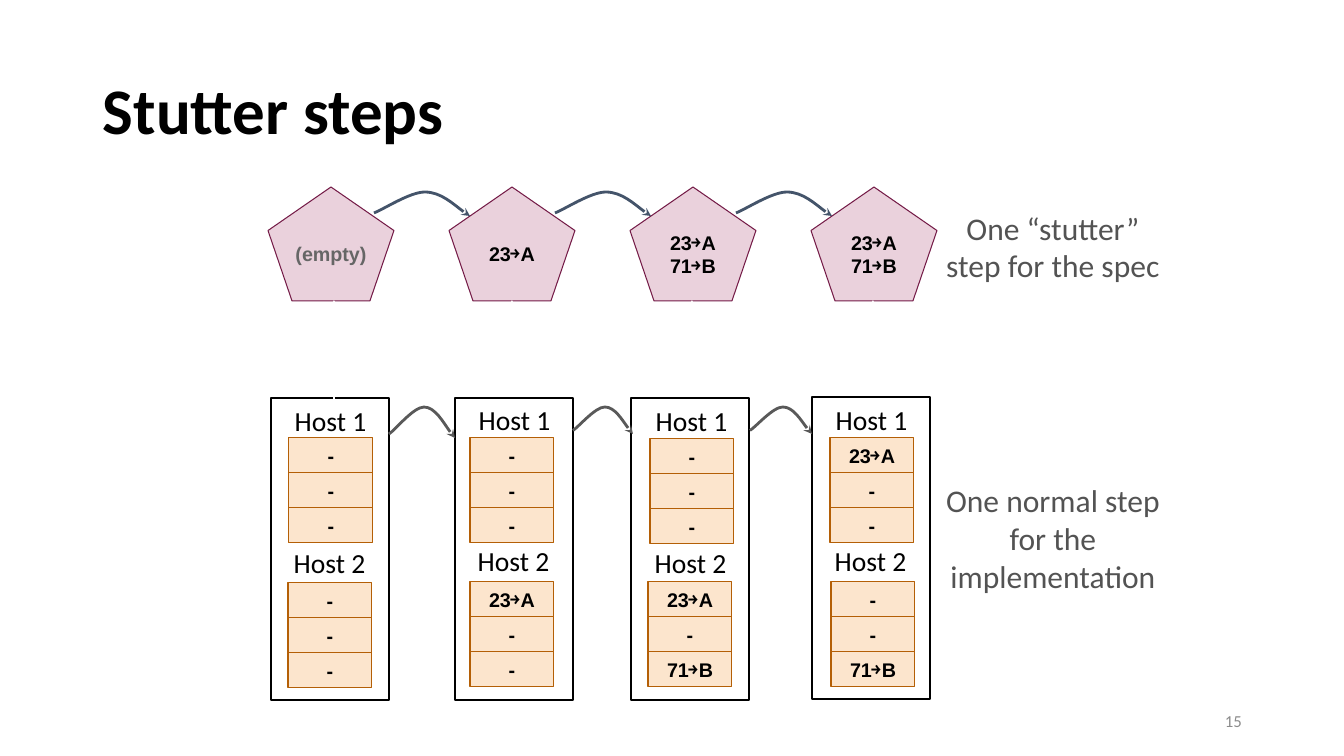
from lxml.etree import SubElement
from pptx import Presentation
from pptx.dml.color import RGBColor
from pptx.enum.dml import MSO_LINE
from pptx.enum.shapes import MSO_CONNECTOR, MSO_SHAPE
from pptx.enum.text import MSO_ANCHOR, MSO_AUTO_SIZE, PP_ALIGN
from pptx.oxml.ns import qn
from pptx.util import Emu, Pt

HUES = {
    "black": "000000", "white": "FFFFFF", "grey": "535353", "mute": "666666",
    "page": "8C8C8C", "pink": "EAD1DC", "plum": "741B47", "cream": "FCE5CD",
    "rust": "B45F06", "slate": "44546A", "dusk": "595959",
}
FONTS = {
    "title": {"name": "Calibri", "size": Pt(46.4), "bold": True},
    "page": {"name": "Calibri", "size": Pt(12)},
    "host": {"name": "Calibri", "size": Pt(19.7)},
    "note": {"name": "Calibri", "size": Pt(22.5)},
    "cell": {"name": "Arial", "size": Pt(14.1), "bold": True},
}
ARC_X = (0, 0.09, 0.37, 0.53, 0.7, 0.92, 1)
ARC_Y = (0.87, 0.75, 0, 0, 0, 0.83, 1)


def px(n):
    return Emu(round(n * 914400 / 100.8))


def hue(name):
    return RGBColor.from_string(HUES[name])


class Pen:
    def __init__(self, slide):
        self.slide = slide
        self.shapes = slide.shapes

    def words(self, shape, text, font, color="black", align=PP_ALIGN.CENTER, pad=(4, 4, 4, 4)):
        frame = shape.text_frame
        left, top, right, low = map(px, pad)
        look = {
            "auto_size": MSO_AUTO_SIZE.NONE, "word_wrap": True,
            "vertical_anchor": MSO_ANCHOR.MIDDLE, "margin_left": left,
            "margin_top": top, "margin_right": right, "margin_bottom": low,
        }
        for key, value in look.items():
            setattr(frame, key, value)
        frame.text = text
        for para in frame.paragraphs:
            para.alignment = align
            for key, value in FONTS[font].items():
                setattr(para.font, key, value)
            para.font.color.rgb = hue(color)

    def title(self, box, text):
        shape = self.shapes.title
        for key, value in zip(("left", "top", "width", "height"), box):
            setattr(shape, key, px(value))
        self.words(shape, text, "title", align=PP_ALIGN.LEFT, pad=(10, 5, 10, 5))
        shape.text_frame.paragraphs[0].line_spacing = 0.9

    def label(self, box, text, font, color="black", **extra):
        shape = self.shapes.add_textbox(*map(px, box))
        self.words(shape, text, font, color, **extra)

    def stroke(self, shape, color, width, head=None):
        shape.line.color.rgb = hue(color)
        shape.line.width = Pt(width)
        if head:
            line = next(shape.element.iter(qn("a:ln")))
            SubElement(line, qn("a:tailEnd"), type=head)

    def block(self, kind, box, fill, edge, width=0.75):
        shape = self.shapes.add_shape(kind, *map(px, box))
        shape.shadow.inherit = False
        shape.fill.solid()
        shape.fill.fore_color.rgb = hue(fill)
        self.stroke(shape, edge, width)
        return shape

    def stack(self, x, y, texts):
        for row, text in enumerate(texts):
            cell = self.block(MSO_SHAPE.RECTANGLE, (x, y + 35 * row, 84, 35), "cream", "rust")
            self.words(cell, text, "cell", pad=(0, 0, 0, 0))

    def arc(self, x, y, w, h, color):
        spots = [(px(x + w * a), px(y + h * b)) for a, b in zip(ARC_X, ARC_Y)]
        form = self.shapes.build_freeform(*spots[0])
        form.add_line_segments(spots[1:], close=False)
        shape = form.convert_to_shape()
        shape.shadow.inherit = False
        shape.fill.background()
        route = next(shape.element.iter(qn("a:path")))
        legs = route.findall(qn("a:lnTo"))
        for start in (0, 3):
            curve = SubElement(route, qn("a:cubicBezTo"))
            for leg in legs[start:start + 3]:
                curve.append(leg[0])
                route.remove(leg)
        self.stroke(shape, color, 2, "stealth")

    def dash(self, x, low, top):
        link = self.shapes.add_connector(MSO_CONNECTOR.STRAIGHT, px(x), px(low), px(x), px(top))
        link.line.dash_style = MSO_LINE.SQUARE_DOT
        self.stroke(link, "white", 2, "triangle")
        SubElement(link.element.spPr, qn("a:effectLst"))


STATES = (("(empty)", "mute"), ("23￫A", "black"), ("23￫A\n71￫B", "black"), ("23￫A\n71￫B", "black"))
BOXES = ((271, 398), (455, 398), (631, 398), (812, 397))
NAMES = ((267, 400, 542), (451, 399, 540), (628, 400, 542), (808, 399, 540))
STACKS = (
    ((289, 438, "---"), (288, 583, "---")),
    ((470, 438, "---"), (470, 582, ("23￫A", "-", "-"))),
    ((650, 439, "---"), (648, 582, ("23￫A", "-", "71￫B"))),
    ((830, 438, ("23￫A", "-", "-")), (831, 582, ("-", "-", "71￫B"))),
)
STEPS = ((389, 407, 66, 31), (573, 407, 60, 27), (750, 407, 62, 27))
LINKS = ((334, 400), (512, 397), (692, 397), (873, 396))


def main():
    deck = Presentation()
    deck.slide_width, deck.slide_height = px(1344), px(756)
    pen = Pen(deck.slides.add_slide(deck.slide_layouts[5]))
    pen.title((93, 40, 1159, 146), "Stutter steps")
    pen.label((950, 701, 302, 40), "15", "page", "page", align=PP_ALIGN.RIGHT, pad=(10, 5, 10, 5))

    for box, (x, one, two), stacks in zip(BOXES, NAMES, STACKS):
        pen.block(MSO_SHAPE.RECTANGLE, (*box, 118, 302), "white", "black", 1)
        pen.label((x, one, 127, 41), "Host 1", "host")
        pen.label((x - 1, two, 127, 41), "Host 2", "host")
        for stack in stacks:
            pen.stack(*stack)
    for step in STEPS:
        pen.arc(*step, "dusk")

    for i, ((text, color), link) in enumerate(zip(STATES, LINKS)):
        side = 7 if i else 0
        shape = pen.block(MSO_SHAPE.REGULAR_PENTAGON, (268 + 181 * i, 187, 126, 114), "pink", "plum")
        pen.words(shape, text, "cell", color, pad=(side, 7, side, 14))
        pen.dash(*link, 300)
    for i in range(3):
        pen.arc(374 + 181 * i, 192, 96, 24, "slate")

    pen.label((942, 477, 222, 122), "One normal step for the implementation", "note", "grey")
    pen.label((942, 204, 222, 85), "One “stutter”\nstep for the spec", "note", "grey")
    deck.save("out.pptx")


if __name__ == "__main__":
    main()
